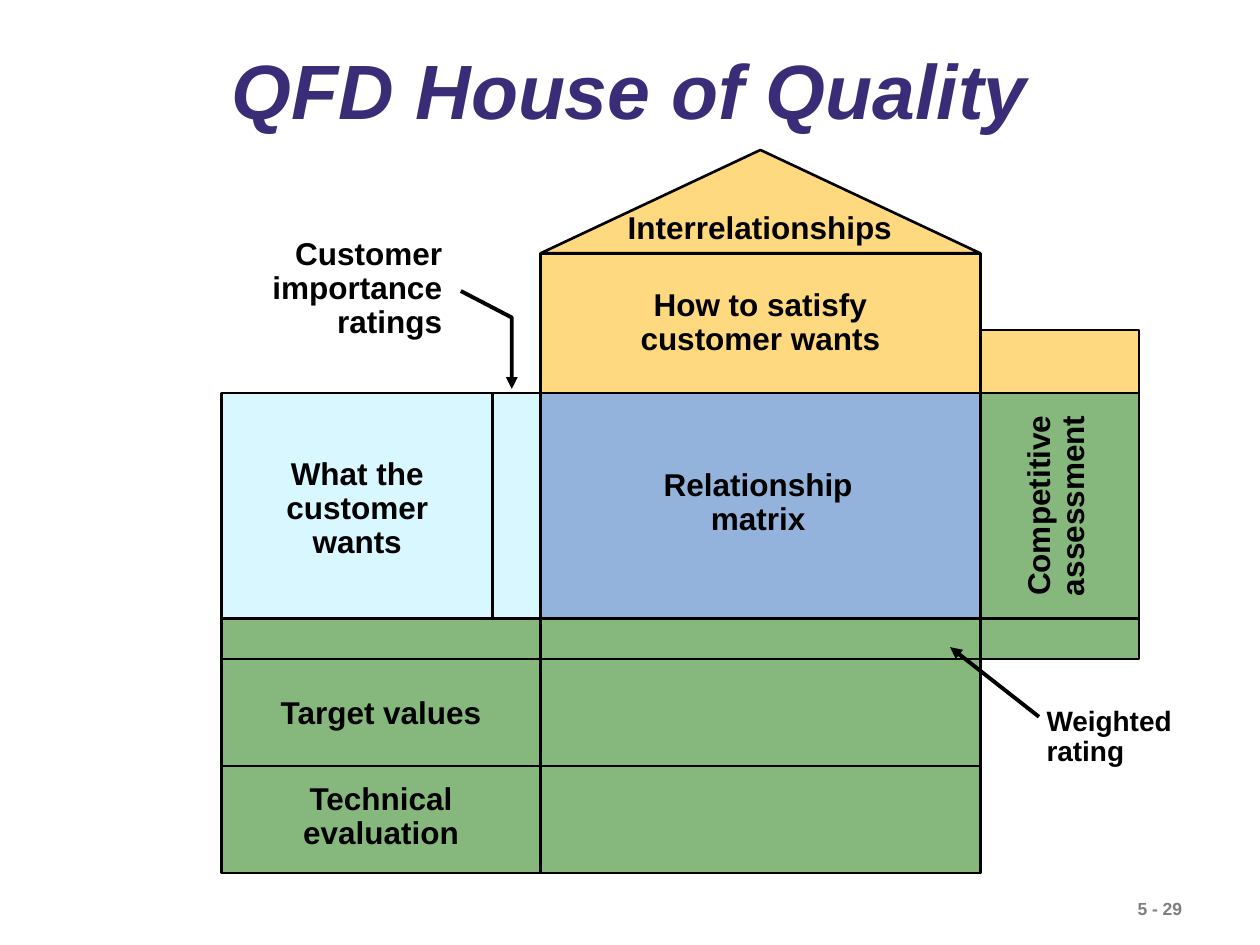
from collections import namedtuple

from lxml.etree import SubElement
from pptx import Presentation
from pptx.dml.color import RGBColor
from pptx.enum.shapes import MSO_CONNECTOR, MSO_SHAPE
from pptx.enum.text import MSO_ANCHOR, PP_ALIGN
from pptx.oxml.ns import qn
from pptx.util import Inches, Pt

WIDTH, HEIGHT = 10, 7.5
COLUMNS = (1.76, 3.9, 4.29, 7.78, 9.04)
ROWS = (1.19, 2.01, 2.62, 3.12, 4.91, 5.23, 6.08, 6.93)
BLACK = RGBColor(0x00, 0x00, 0x00)
PURPLE = RGBColor(0x3A, 0x2C, 0x76)
GRAY = RGBColor(0x7F, 0x7F, 0x7F)
BLUE = RGBColor(0x93, 0xB3, 0xDD)
YELLOW = RGBColor(0xFF, 0xD9, 0x80)
GREEN = RGBColor(0x86, 0xB8, 0x7D)
PALE = RGBColor(0xD9, 0xF7, 0xFF)
LABEL = {"name": "Arial", "size": Pt(18), "bold": True}


class Box(namedtuple("Box", "left top width height")):
    """A rectangle in inches."""

    def point(self, across, down):
        """Return the point at the given shares of the box."""
        return self.left + across * self.width, self.top + down * self.height

    def inner(self, across, down, wide, high):
        """Return a box given as shares of this one."""
        return Box(*self.point(across, down), wide * self.width, high * self.height)

    def emu(self):
        """Return the four lengths for python-pptx."""
        return [Inches(length) for length in self]


def cell(column, row, last_column, last_row):
    """Return the box between the given lines of the house grid."""
    left, top = COLUMNS[column], ROWS[row]
    return Box(left, top, COLUMNS[last_column] - left, ROWS[last_row] - top)


def add_panel(page, box, color, kind=MSO_SHAPE.RECTANGLE):
    """Draw an outlined, filled panel."""
    panel = page.shapes.add_shape(kind, *box.emu())
    panel.shadow.inherit = False
    panel.fill.solid()
    panel.fill.fore_color.rgb = color
    panel.line.color.rgb = BLACK
    panel.line.width = Pt(1.5)


def add_label(page, box, text, align=PP_ALIGN.CENTER, color=BLACK, wrap=True,
              spacing=0.9, anchor=MSO_ANCHOR.TOP, rotation=0, **changes):
    """Write one paragraph for each line of the text."""
    label = page.shapes.add_textbox(*box.emu())
    label.rotation = rotation
    frame = label.text_frame
    frame.word_wrap = wrap
    frame.vertical_anchor = anchor
    frame.text = text
    for para in frame.paragraphs:
        para.alignment = align
        para.line_spacing = spacing
        for span in para.runs:
            span.font.color.rgb = color
            for name, value in {**LABEL, **changes}.items():
                setattr(span.font, name, value)


def style_line(stroke, width, arrow):
    """Make a line black and give it an arrowhead if asked."""
    stroke.line.color.rgb = BLACK
    stroke.line.width = Pt(width)
    if arrow:
        outline = stroke.element.spPr.find(qn("a:ln"))
        SubElement(outline, qn("a:tailEnd"), type="triangle")


def add_line(page, start, end, width=1.5, arrow=False):
    """Draw a straight connector."""
    ends = [Inches(length) for length in (*start, *end)]
    connector = page.shapes.add_connector(MSO_CONNECTOR.STRAIGHT, *ends)
    style_line(connector, width, arrow)
    SubElement(connector.element.spPr, qn("a:effectLst"))


def add_bent_arrow(page, points):
    """Draw an open arrow through the points."""
    start, *others = [(Inches(x), Inches(y)) for x, y in points]
    builder = page.shapes.build_freeform(*start)
    builder.add_line_segments(others, close=False)
    arrow = builder.convert_to_shape()
    arrow.fill.background()
    arrow.shadow.inherit = False
    style_line(arrow, 2.25, True)


def add_heading(page, box):
    """Write the title."""
    add_label(page, box, "QFD House of Quality", color=PURPLE,
              anchor=MSO_ANCHOR.MIDDLE, size=Pt(44), italic=True)


def add_page_number(page, box):
    """Write the page number."""
    add_label(page, box, "5 - 29", PP_ALIGN.LEFT, GRAY, wrap=False,
              spacing=1, size=Pt(10))


def add_matrix(page, box):
    """Draw the relationship matrix."""
    add_panel(page, box, BLUE)
    add_label(page, box.inner(0.25, 0.31, 0.49, 0.36), "Relationship\nmatrix")


def add_methods(page, box):
    """Draw the room under the roof."""
    add_panel(page, box, YELLOW)
    add_label(page, box.inner(0.12, 0.21, 0.76, 0.58),
              "How to satisfy\ncustomer wants")


def add_roof(page, box):
    """Draw the roof."""
    add_panel(page, box, YELLOW, MSO_SHAPE.ISOSCELES_TRIANGLE)
    add_label(page, box.inner(0.17, 0.5, 0.66, 0.49), "Interrelationships",
              PP_ALIGN.LEFT, wrap=False, spacing=1)


def add_assessment(page, box):
    """Draw the competitive assessment."""
    add_panel(page, box, GREEN)
    add_label(page, box.inner(-0.35, 0.32, 1.67, 0.36),
              "Competitive assessment", rotation=270)


def add_foundation(page, box):
    """Draw the two lower floors."""
    for floor in range(2):
        add_panel(page, box.inner(0, floor / 2, 1, 0.5), GREEN)
    add_label(page, box.inner(0.08, 0.55, 0.26, 0.39), "Technical\nevaluation")
    add_label(page, box.inner(0.02, 0.13, 0.38, 0.24), "Target values", spacing=1)
    add_line(page, box.point(0.42, 0), box.point(0.42, 1))


def add_wants(page, box):
    """Draw the customer wants and the narrow ratings column."""
    add_panel(page, box.inner(0, 0, 0.85, 1), PALE)
    add_label(page, box.inner(0.03, 0.26, 0.79, 0.51), "What the customer\nwants")
    add_panel(page, box.inner(0.85, 0, 0.15, 1), PALE)


def add_importance(page, box):
    """Point to the ratings column."""
    add_label(page, box.inner(0.09, -0.15, 0.64, 0.82),
              "Customer importance ratings", PP_ALIGN.RIGHT)
    turns = ((0.75, 0.27), (0.91, 0.46), (0.91, 0.97))
    add_bent_arrow(page, [box.point(*turn) for turn in turns])


def add_rating_band(page, box):
    """Draw the weighted rating band and its two dividers."""
    add_panel(page, box, GREEN)
    for column in COLUMNS[2:4]:
        share = (column - COLUMNS[0]) / (COLUMNS[-1] - COLUMNS[0])
        add_line(page, box.point(share, 0), box.point(share, 1))


def add_rating_note(page, box):
    """Point to the weighted rating band."""
    add_label(page, box.inner(0.34, 0.39, 1.1, 0.68), "Weighted rating",
              PP_ALIGN.LEFT, size=Pt(16))
    add_line(page, box.point(0.37, 0.54), box.point(-0.19, -0.11), 2.25, True)


def main():
    """Build the deck."""
    deck = Presentation()
    deck.slide_width, deck.slide_height = Inches(WIDTH), Inches(HEIGHT)
    page = deck.slides.add_slide(deck.slide_layouts[6])
    whole = Box(0, 0, WIDTH, HEIGHT)
    add_page_number(page, Box(8.93, 7.08, 1.07, 0.27))
    add_heading(page, whole.inner(0.06, 0.04, 0.88, 0.12))
    add_matrix(page, cell(2, 3, 3, 4))
    add_methods(page, cell(2, 1, 3, 3))
    add_roof(page, cell(2, 0, 3, 1))
    add_assessment(page, cell(3, 3, 4, 4))
    add_panel(page, cell(3, 2, 4, 3), YELLOW)
    add_foundation(page, cell(0, 5, 3, 7))
    add_wants(page, cell(0, 3, 2, 4))
    add_importance(page, cell(0, 1, 2, 3))
    add_rating_band(page, cell(0, 4, 4, 5))
    add_rating_note(page, cell(3, 5, 4, 6))
    deck.save("out.pptx")


if __name__ == "__main__":
    main()
